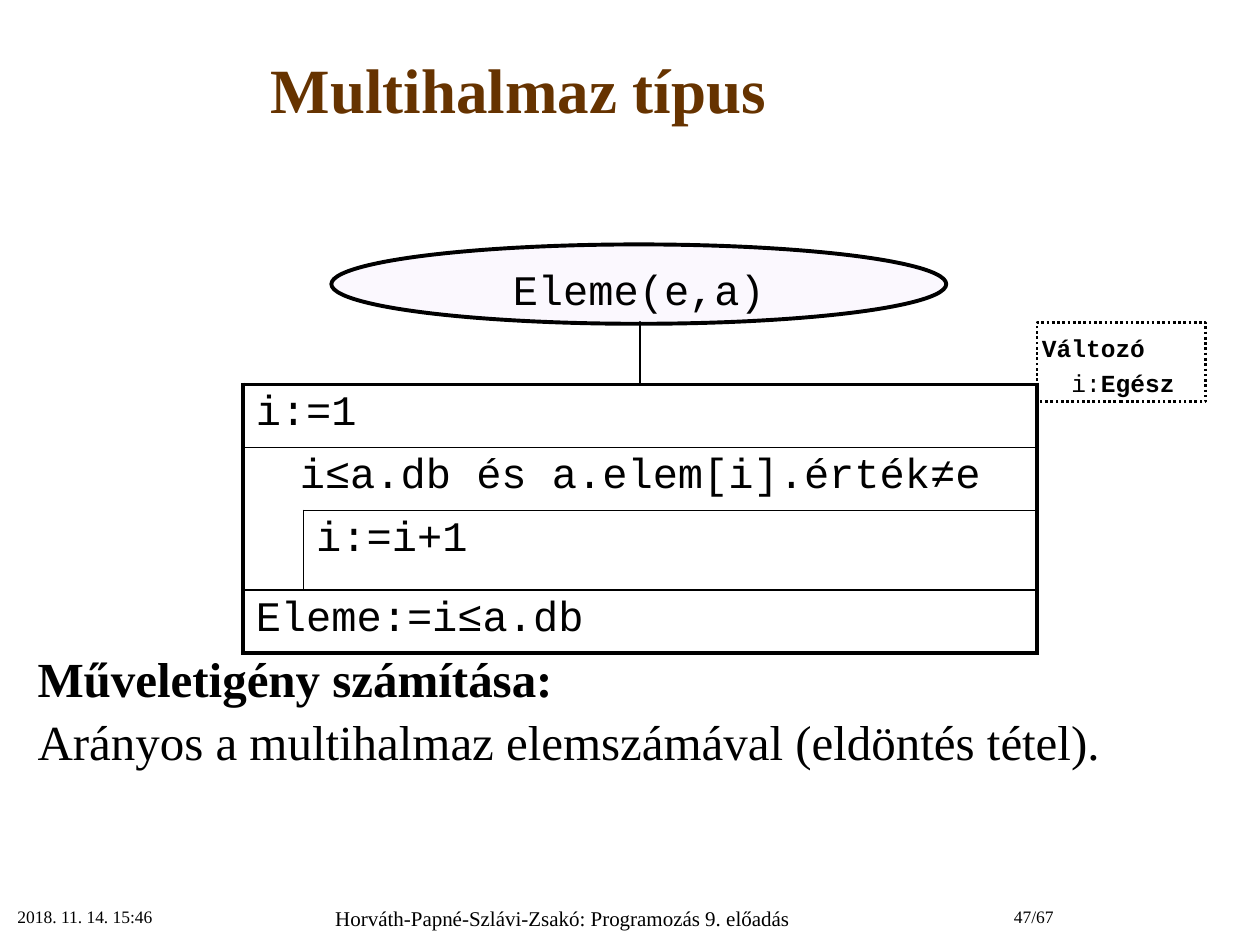
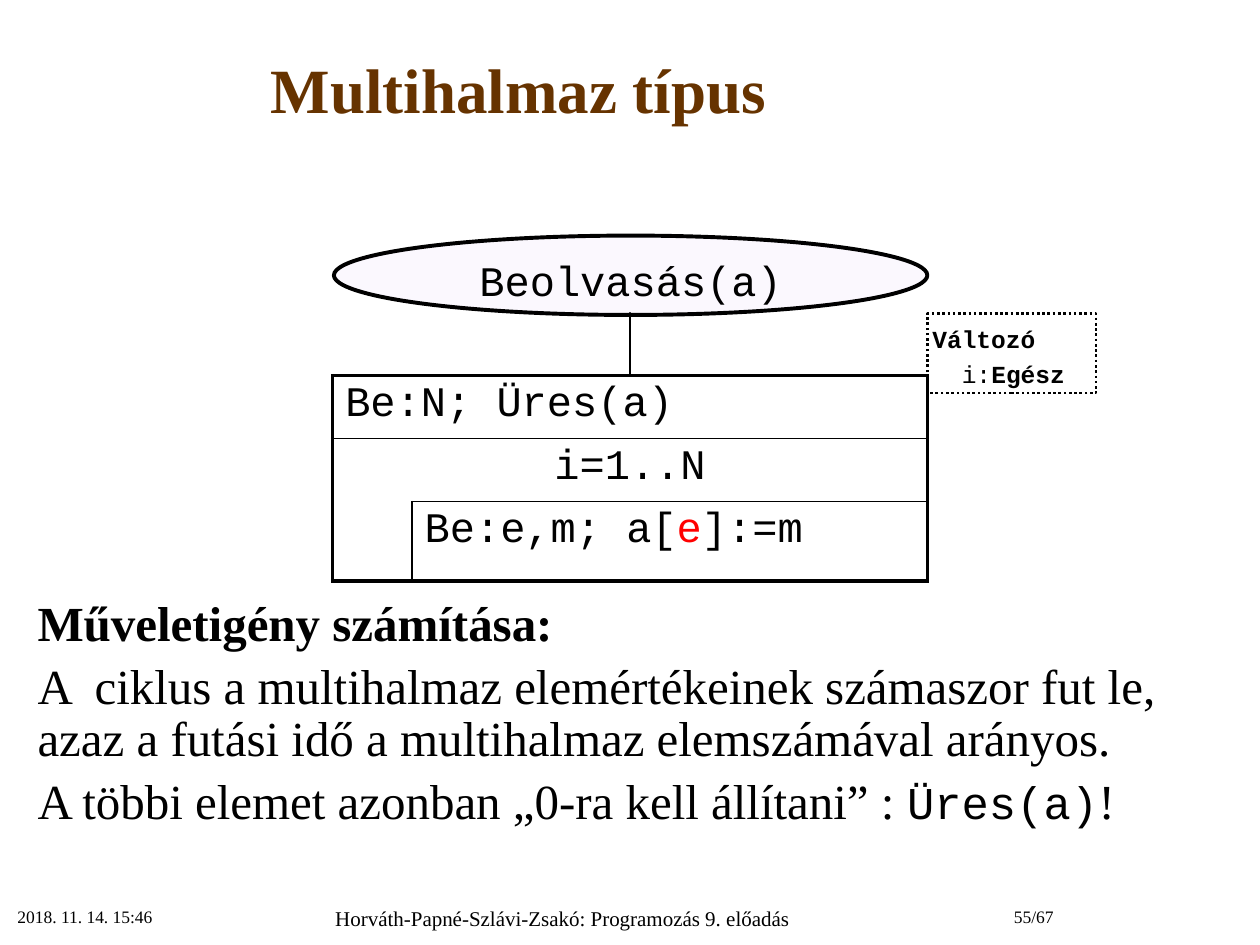
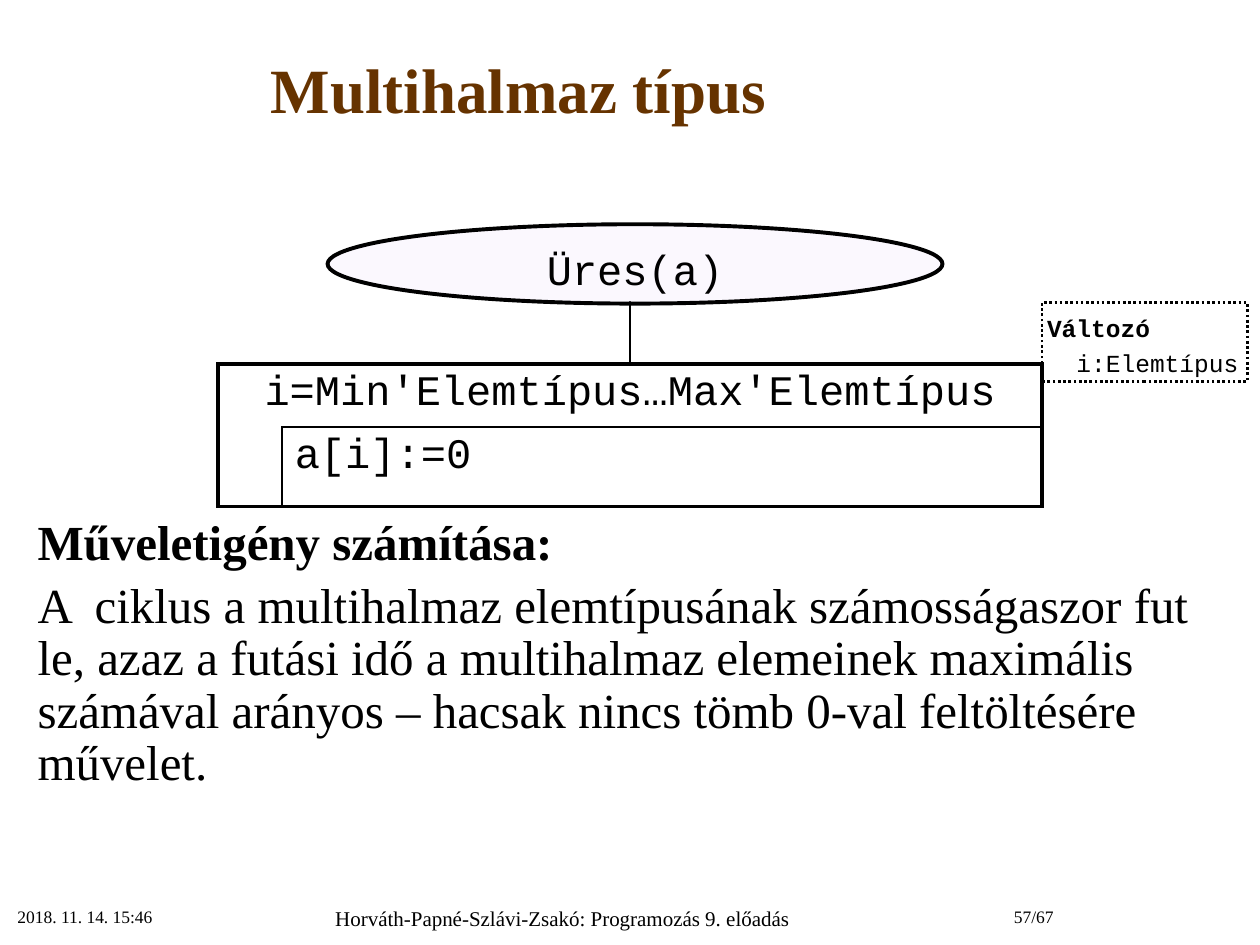
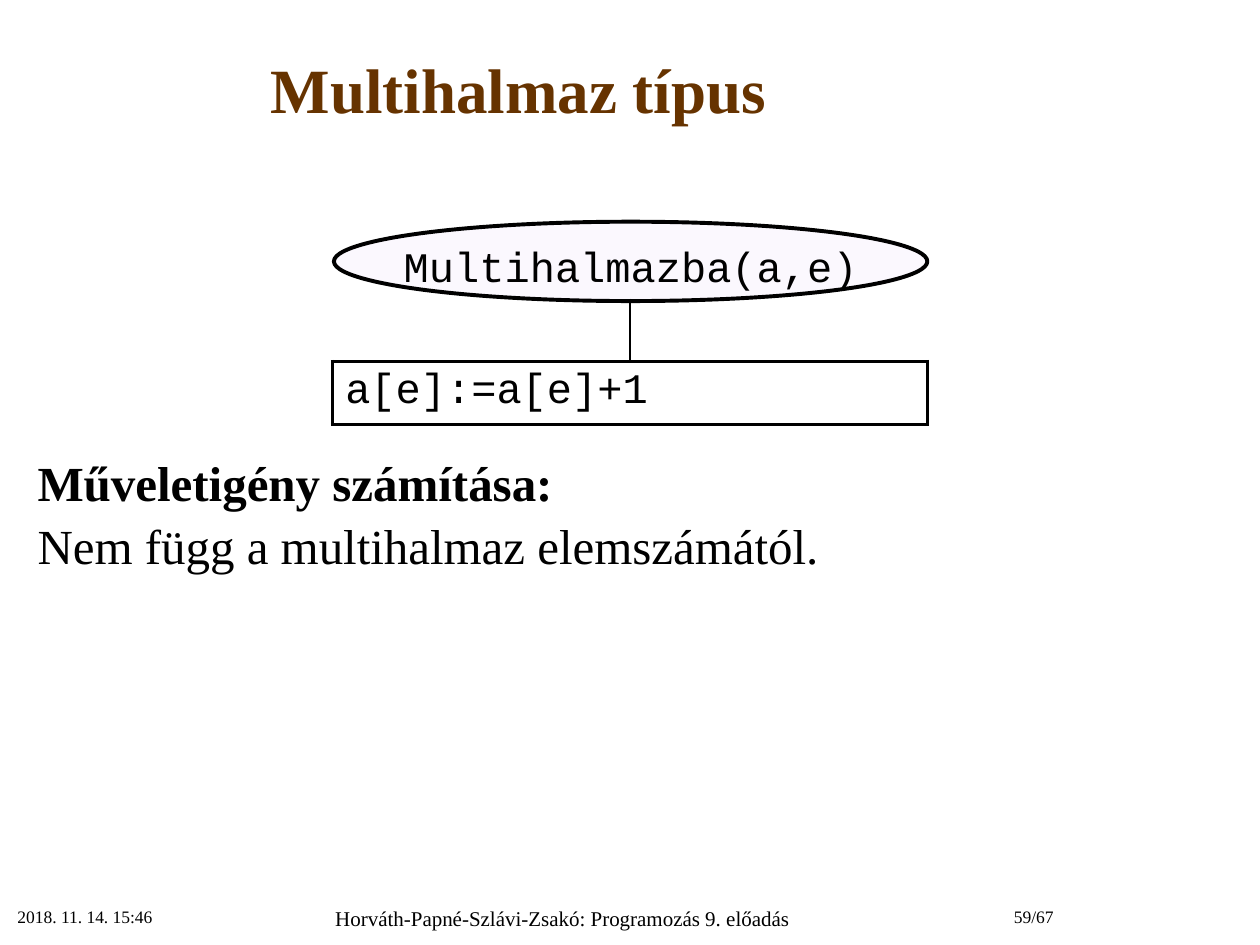
"""Builds four slides on the operations of the multiset type."""
from dataclasses import dataclass, replace
from enum import Enum

from lxml import etree
from pptx import Presentation, util as u
from pptx.dml.color import RGBColor
from pptx.enum import dml, shapes, text
from pptx.oxml import ns

WIDTH, HEIGHT = u.Inches(10), u.Inches(7.5)
COLUMNS, ROWS = 100, 75


@dataclass(frozen=True)
class Style:
    """Look of a run of text."""
    font: str
    size: int
    color: str = "000000"
    bold: bool = False


@dataclass(frozen=True)
class Theme:
    """Colours, line widths and text styles of the deck."""
    ink: str = "000000"
    oval: str = "F3E8FE"
    oval_opacity: int = 30
    thin: float = 1
    dotted: float = 1.5
    heavy: float = 2.25
    title: Style = Style("Times New Roman", 36, "663300", True)
    body: Style = Style("Times New Roman", 28)
    heading: Style = Style("Times New Roman", 28, bold=True)
    inline_code: Style = Style("Courier New", 26)
    code: Style = Style("Courier New", 24)
    marked: Style = Style("Courier New", 24, "FF0000")
    variable: Style = Style("Courier New", 14)
    keyword: Style = Style("Courier New", 14, bold=True)
    footer: Style = Style("Times New Roman", 12)
    small: Style = Style("Times New Roman", 10)


THEME = Theme()


@dataclass(frozen=True)
class Span:
    """A piece of text in one style."""
    text: str
    style: Style


@dataclass(frozen=True)
class Box:
    """A place on the grid, in columns and rows."""
    left: float
    top: float
    width: float
    height: float

    def place(self) -> tuple:
        """Gives left, top, width and height as lengths."""
        return across(self.left), down(self.top), across(self.width), down(self.height)


class Kind(Enum):
    """Role of a row in a structogram."""
    STEP = "step"
    CONDITION = "condition"
    BODY = "body"


@dataclass(frozen=True)
class Row:
    """A row of a structogram."""
    kind: Kind
    spans: list[Span]

    @property
    def height(self) -> float:
        """Height in grid rows."""
        return 6.3 if self.kind is Kind.BODY else 5


@dataclass(frozen=True)
class Structogram:
    """A named algorithm: an oval, a table and its variables."""
    name: str
    oval_left: float
    oval_width: float
    left: float
    top: float
    width: float
    indent: float
    rows: list[Row]
    variable_width: float = 0
    variables: tuple[Span, ...] = ()


@dataclass(frozen=True)
class Page:
    """One slide of the deck."""
    number: int
    structogram: Structogram
    cost_top: float
    cost: list[list[Span]]


TITLE = Box(0, 0.9, 82.3, 12.2)
COST = Box(2, 15.5, 98, 47)
DATE = Box(0.4, 71.4, 20.8, 3.6)
LECTURE = Box(21.2, 71.4, 46.9, 3.6)
NUMBER = Box(71.9, 71.4, 12.7, 3.6)
HEADER_HEIGHT, OVAL_HEIGHT, OVAL_RISE = 5, 6.3, 6.1


def across(columns: float) -> int:
    """Turns grid columns into a length."""
    return round(WIDTH * columns / COLUMNS)


def down(rows: float) -> int:
    """Turns grid rows into a length."""
    return round(HEIGHT * rows / ROWS)


def step(code: str) -> Row:
    """Makes a plain step."""
    return Row(Kind.STEP, [Span(code, THEME.code)])


def condition(code: str) -> Row:
    """Makes the condition of a loop."""
    return Row(Kind.CONDITION, [Span(code, THEME.code)])


def body(*spans: Span) -> Row:
    """Makes the body of a loop."""
    return Row(Kind.BODY, list(spans))


def prose(words: str) -> list[Span]:
    """Makes a paragraph in the body style."""
    return [Span(words, THEME.body)]


def write(paragraph, spans, align=text.PP_ALIGN.LEFT) -> None:
    """Fills a paragraph and formats its runs."""
    paragraph.text = spans[0].text
    for span in spans[1:]:
        paragraph.add_run().text = span.text
    paragraph.alignment = align
    for run, span in zip(paragraph.runs, spans):
        run.font.name = span.style.font
        run.font.size = u.Pt(span.style.size)
        run.font.bold = span.style.bold
        run.font.color.rgb = RGBColor.from_string(span.style.color)


def add_text(slide, box: Box, words: str, style: Style, align, anchor=text.MSO_ANCHOR.TOP) -> None:
    """Adds a text box of one paragraph."""
    text_frame = slide.shapes.add_textbox(*box.place()).text_frame
    text_frame.word_wrap = True
    text_frame.vertical_anchor = anchor
    write(text_frame.paragraphs[0], [Span(words, style)], align)


def add_outline(slide, preset, box: Box, width: float):
    """Adds an unfilled shape with a dark line."""
    shape = slide.shapes.add_shape(preset, *box.place())
    shape.shadow.inherit = False
    shape.fill.background()
    shape.line.color.rgb = RGBColor.from_string(THEME.ink)
    shape.line.width = u.Pt(width)
    return shape


def add_oval(slide, structogram: Structogram) -> None:
    """Adds the oval with the name of the algorithm."""
    box = Box(structogram.oval_left, structogram.top - OVAL_RISE, structogram.oval_width, OVAL_HEIGHT)
    shape = add_outline(slide, shapes.MSO_SHAPE.OVAL, box, THEME.heavy)
    shape.fill.solid()
    shape.fill.fore_color.rgb = RGBColor.from_string(THEME.oval)
    color = shape._element.spPr.find(ns.qn("a:solidFill"))[0]
    etree.SubElement(color, ns.qn("a:alpha"), val=str(THEME.oval_opacity * 1000))
    text_frame = shape.text_frame
    text_frame.word_wrap = False
    text_frame.vertical_anchor = text.MSO_ANCHOR.MIDDLE
    text_frame.margin_top, text_frame.margin_bottom = down(0.7), 0
    write(text_frame.paragraphs[0], [Span(structogram.name, THEME.code)], text.PP_ALIGN.CENTER)


def add_variables(slide, structogram: Structogram) -> None:
    """Adds the dotted box that declares the variables."""
    box = Box(structogram.left + structogram.width, structogram.top + 0.1, structogram.variable_width, 6.3)
    shape = add_outline(slide, shapes.MSO_SHAPE.RECTANGLE, box, THEME.dotted)
    shape.line.dash_style = dml.MSO_LINE.ROUND_DOT
    text_frame = shape.text_frame
    text_frame.vertical_anchor = text.MSO_ANCHOR.TOP
    text_frame.margin_left = text_frame.margin_top = text_frame.margin_bottom = down(0.4)
    text_frame.margin_right = 0
    paragraph = text_frame.paragraphs[0]
    write(paragraph, structogram.variables)
    paragraph.line_spacing = u.Pt(20)


def set_borders(cell, left: float = 0, right: float = 0, top: float = 0, bottom: float = 0) -> None:
    """Clears the fill of a cell and draws its borders, none where the width is zero."""
    cell.fill.background()
    properties = cell._tc.get_or_add_tcPr()
    for index, (side, width) in enumerate(zip("LRTB", (left, right, top, bottom))):
        line = etree.Element(ns.qn(f"a:ln{side}"), w=str(u.Pt(width)))
        properties.insert(index, line)
        if width:
            fill = etree.SubElement(line, ns.qn("a:solidFill"))
            etree.SubElement(fill, ns.qn("a:srgbClr"), val=THEME.ink)
        else:
            etree.SubElement(line, ns.qn("a:noFill"))


def set_span(cells, left: float, right: float, top: float, bottom: float) -> None:
    """Merges neighbouring cells and frames them as one."""
    if len(cells) > 1:
        cells[0].merge(cells[-1])
    set_borders(cells[0], left, right, top, bottom)
    for cell in cells[1:]:
        set_borders(cell, 0, right if cell is cells[-1] else 0, top, bottom)


def add_table(slide, structogram: Structogram) -> None:
    """Adds the table of the algorithm, headed by the line down from the oval."""
    half = structogram.width / 2
    widths = [structogram.indent, half - structogram.indent, half] if structogram.indent else [half, half]
    heights = [HEADER_HEIGHT] + [row.height for row in structogram.rows]
    box = Box(structogram.left, structogram.top, structogram.width, sum(heights))
    table = slide.shapes.add_table(len(heights), len(widths), *box.place()).table
    table.first_row = table.horz_banding = False
    for column, width in zip(table.columns, widths):
        column.width = across(width)
    for table_row, height in zip(table.rows, heights):
        table_row.height = down(height)

    header = list(table.rows[0].cells)
    set_span(header[:-1], 0, THEME.thin, 0, THEME.heavy)
    set_span(header[-1:], THEME.thin, 0, 0, THEME.heavy)
    for index, row in enumerate(structogram.rows, start=1):
        cells = list(table.rows[index].cells)
        top = THEME.heavy if index == 1 else THEME.thin
        bottom = THEME.heavy if index == len(structogram.rows) else THEME.thin
        left, align = THEME.heavy, text.PP_ALIGN.LEFT
        if row.kind is Kind.CONDITION:
            bottom, align = 0, text.PP_ALIGN.CENTER
        elif row.kind is Kind.BODY:
            set_span(cells[:1], THEME.heavy, THEME.thin, 0, bottom)
            cells, left = cells[1:], THEME.thin
        set_span(cells, left, THEME.heavy, top, bottom)
        write(cells[0].text_frame.paragraphs[0], row.spans, align)


def add_cost(slide, page: Page) -> None:
    """Adds the paragraphs on the running cost, below the structogram."""
    text_frame = slide.shapes.add_textbox(*COST.place()).text_frame
    text_frame.word_wrap = True
    text_frame.auto_size = text.MSO_AUTO_SIZE.SHAPE_TO_FIT_TEXT
    text_frame.margin_top = down(page.cost_top - COST.top)
    write(text_frame.paragraphs[0], [Span("Műveletigény számítása:", THEME.heading)])
    for spans in page.cost:
        paragraph = text_frame.add_paragraph()
        write(paragraph, spans)
        paragraph.line_spacing = u.Pt(30)
        paragraph.space_before = u.Pt(6)


def add_page(presentation, page: Page) -> None:
    """Adds one slide."""
    slide = presentation.slides.add_slide(presentation.slide_layouts[6])
    align = text.PP_ALIGN
    add_text(slide, TITLE, "Multihalmaz típus", THEME.title, align.CENTER, text.MSO_ANCHOR.MIDDLE)
    add_cost(slide, page)
    add_text(slide, DATE, "2018. 11. 14. 15:46", THEME.small, align.LEFT)
    add_text(slide, LECTURE, "Horváth-Papné-Szlávi-Zsakó: Programozás 9. előadás", THEME.footer, align.CENTER)
    add_table(slide, page.structogram)
    add_oval(slide, page.structogram)
    add_text(slide, NUMBER, f"{page.number}/67", THEME.small, align.RIGHT)
    if page.structogram.variables:
        add_variables(slide, page.structogram)


DECLARATION = Span("Változó\v", THEME.keyword)
INTEGER = (DECLARATION, Span("  i:", THEME.variable), Span("Egész", THEME.keyword))

MEMBER = Structogram(
    "Eleme(e,a)", 26.3, 48.8, 19.3, 25.5, 63, 4.8,
    [
        step("i:=1"),
        condition("i≤a.db és a.elem[i].érték≠e"),
        body(Span("i:=i+1", THEME.code)),
        step("Eleme:=i≤a.db"),
    ],
    13.4, INTEGER,
)
READING = Structogram(
    "Beolvasás(a)", 26.5, 47.1, 26.4, 24.8, 47.2, 6.3,
    [
        step("Be:N; Üres(a)"),
        condition("i=1..N"),
        body(Span("Be:e,m; a[", THEME.code), Span("e", THEME.marked), Span("]:=m", THEME.code)),
    ],
    13.4, INTEGER,
)
EMPTY = Structogram(
    "Üres(a)", 26, 48.8, 17.3, 23.9, 65.4, 5.1,
    [condition("i=Min'Elemtípus…Max'Elemtípus"), body(Span("a[i]:=0", THEME.code))],
    16.3, (DECLARATION, Span("  i:Elemtípus", THEME.variable)),
)
INSERTION = replace(
    READING, name="Multihalmazba(a,e)", top=23.7, indent=0,
    rows=[step("a[e]:=a[e]+1")], variables=(),
)

PAGES = [
    Page(47, MEMBER, 51.5, [prose("Arányos a multihalmaz elemszámával (eldöntés tétel).")]),
    Page(55, READING, 47, [
        prose("A  ciklus a multihalmaz elemértékeinek számaszor fut le, "
              "azaz a futási idő a multihalmaz elemszámával arányos."),
        [
            Span("A többi elemet azonban „0-ra kell állítani” : ", THEME.body),
            Span("Üres(a)", THEME.inline_code),
            Span("!", THEME.body),
        ],
    ]),
    Page(57, EMPTY, 40.6, [
        prose("A  ciklus a multihalmaz elemtípusának számosságaszor fut le, "
              "azaz a futási idő a multihalmaz elemeinek maximális számával arányos "
              "– hacsak nincs tömb 0-val feltöltésére művelet."),
    ]),
    Page(59, INSERTION, 35.9, [prose("Nem függ a multihalmaz elemszámától.")]),
]


def main() -> None:
    """Builds and saves the deck."""
    presentation = Presentation()
    presentation.slide_width, presentation.slide_height = WIDTH, HEIGHT
    for page in PAGES:
        add_page(presentation, page)
    presentation.save("out.pptx")


if __name__ == "__main__":
    main()
